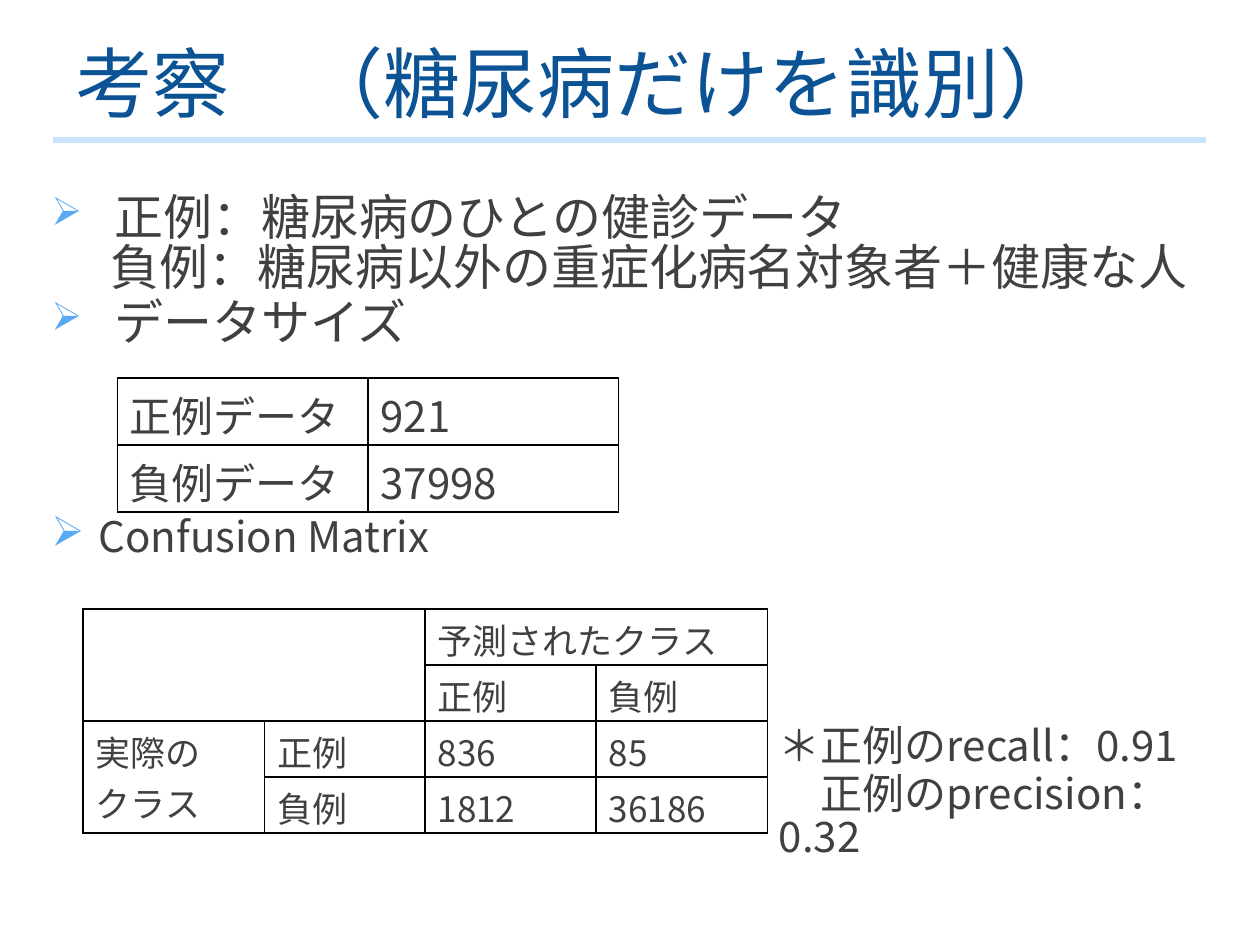
from lxml.etree import SubElement as Sub
from pptx import Presentation
from pptx.dml.color import RGBColor as RGB
from pptx.enum.shapes import MSO_CONNECTOR as Conn
from pptx.oxml.ns import qn
from pptx.util import Pt

FACE = "Noto Sans CJK JP"
NAVY = RGB(0x0B, 0x53, 0x94)
PALE = RGB(0xC8, 0xE3, 0xFB)
SKY = RGB(0x59, 0xAA, 0xF2)
GRAY = RGB(0x40, 0x40, 0x40)
BLACK = RGB(0, 0, 0)
SIDES = ("L", "R", "T", "B")


def style(para, size, color=GRAY):
    font = para.font
    font.name, font.size = FACE, Pt(size)
    font.color.rgb = color
    Sub(font._element, qn("a:ea"), typeface=FACE)


def indent(para, left, first):
    props = para._p.get_or_add_pPr()
    props.set("marL", str(Pt(left)))
    props.set("indent", str(Pt(first)))


def bullet(para, scale):
    """Put a sky-blue arrow, scaled in percent, before the paragraph."""
    props = para._p.get_or_add_pPr()
    mark = Sub(props, qn("a:buClr"))
    Sub(mark, qn("a:srgbClr"), val=str(SKY))
    size = Sub(props, qn("a:buSzPct"), val=str(scale * 1000))
    char = Sub(props, qn("a:buChar"), char="➢")
    font = props.find(qn("a:defRPr"))
    for item in (mark, size, char):
        font.addprevious(item)


def add_text(slide, box, lines, spacing, color=GRAY, wrap=True):
    """Lines hold text, size, space before, left and first-line indent,
    and bullet scale (0 for none)."""
    frame = slide.shapes.add_textbox(*map(Pt, box)).text_frame
    frame.word_wrap = wrap
    for i, (text, size, gap, left, first, scale) in enumerate(lines):
        para = frame.add_paragraph() if i else frame.paragraphs[0]
        para.text = text
        para.line_spacing = spacing
        para.space_before = Pt(gap)
        style(para, size, color)
        indent(para, left, first)
        if scale:
            bullet(para, scale)


def add_rule(slide, left, right, y):
    rule = slide.shapes.add_connector(Conn.STRAIGHT, Pt(left), Pt(y), Pt(right), Pt(y))
    rule.line.color.rgb = PALE
    rule.line.width = Pt(3.25)
    Sub(rule._element.spPr, qn("a:effectLst"))


def set_edges(cell, hidden):
    props = cell._tc.get_or_add_tcPr()
    for i, side in enumerate(SIDES):
        edge = props.makeelement(qn("a:ln" + side), {"w": str(Pt(1))})
        if side in hidden:
            Sub(edge, qn("a:noFill"))
        else:
            fill = Sub(edge, qn("a:solidFill"))
            Sub(fill, qn("a:srgbClr"), val=str(BLACK))
        props.insert(i, edge)


def add_grid(slide, left, top, widths, height, rows, size, pad, spans=(), hidden=None):
    """Spans are pairs of corner cells; hidden maps a cell to its missing sides."""
    count = len(rows)
    table = slide.shapes.add_table(
        count, len(widths), Pt(left), Pt(top), Pt(sum(widths)), Pt(height * count)
    ).table
    table.first_row = table.horz_banding = False
    for col, width in zip(table.columns, widths):
        col.width = Pt(width)
    for r, row in enumerate(rows):
        table.rows[r].height = Pt(height)
        for c, text in enumerate(row):
            cell = table.cell(r, c)
            cell.text = text
            cell.margin_top, cell.margin_bottom = Pt(pad), 0
            cell.fill.background()
            set_edges(cell, (hidden or {}).get((r, c), ""))
            for para in cell.text_frame.paragraphs:
                style(para, size)
    for start, end in spans:
        table.cell(*start).merge(table.cell(*end))


def main():
    deck = Presentation()
    deck.slide_width, deck.slide_height = Pt(720), Pt(540)
    slide = deck.slides.add_slide(deck.slide_layouts[6])

    add_rule(slide, 30.2, 689, 80)
    title = [("考察　（糖尿病だけを識別）", 44, 0, 0, 0, 0)]
    add_text(slide, (36, 23, 592, 60.5), title, 0.9, NAVY, wrap=False)
    add_text(slide, (22.3, 108, 698, 286), [
        ("正例：糖尿病のひとの健診データ", 28, 0, 36, -36, 80),
        ("負例：糖尿病以外の重症化病名対象者＋健康な人", 28, 0, 34, 0, 0),
        ("データサイズ", 28, 3, 36, -36, 80),
        ("Confusion Matrix", 24, 96, 27, -27, 100),
    ], 0.85)

    matrix = [
        ("", "", "予測されたクラス", ""),
        ("", "", "正例", "負例"),
        ("実際の\nクラス", "正例", "836", "85"),
        ("", "負例", "1812", "36186"),
    ]
    add_grid(slide, 47.5, 348, (103.7, 91.7, 97.8, 97.8), 32, matrix, 20, 3,
             spans=[((0, 2), (0, 3)), ((2, 0), (3, 0))],
             hidden={(0, 0): "RB", (0, 1): "LB", (1, 0): "RT", (1, 1): "LT"})
    sizes = [("正例データ", "921"), ("負例データ", "37998")]
    add_grid(slide, 67, 216, (143.2, 143.2), 38.3, sizes, 24, 3.5)

    add_text(slide, (438, 412, 282, 69), [
        ("＊正例のrecall：0.91", 24, 0, 0, 0, 0),
        ("正例のprecision：0.32", 24, 3, 0, 24, 0),
    ], 0.85)
    deck.save("out.pptx")


if __name__ == "__main__":
    main()
